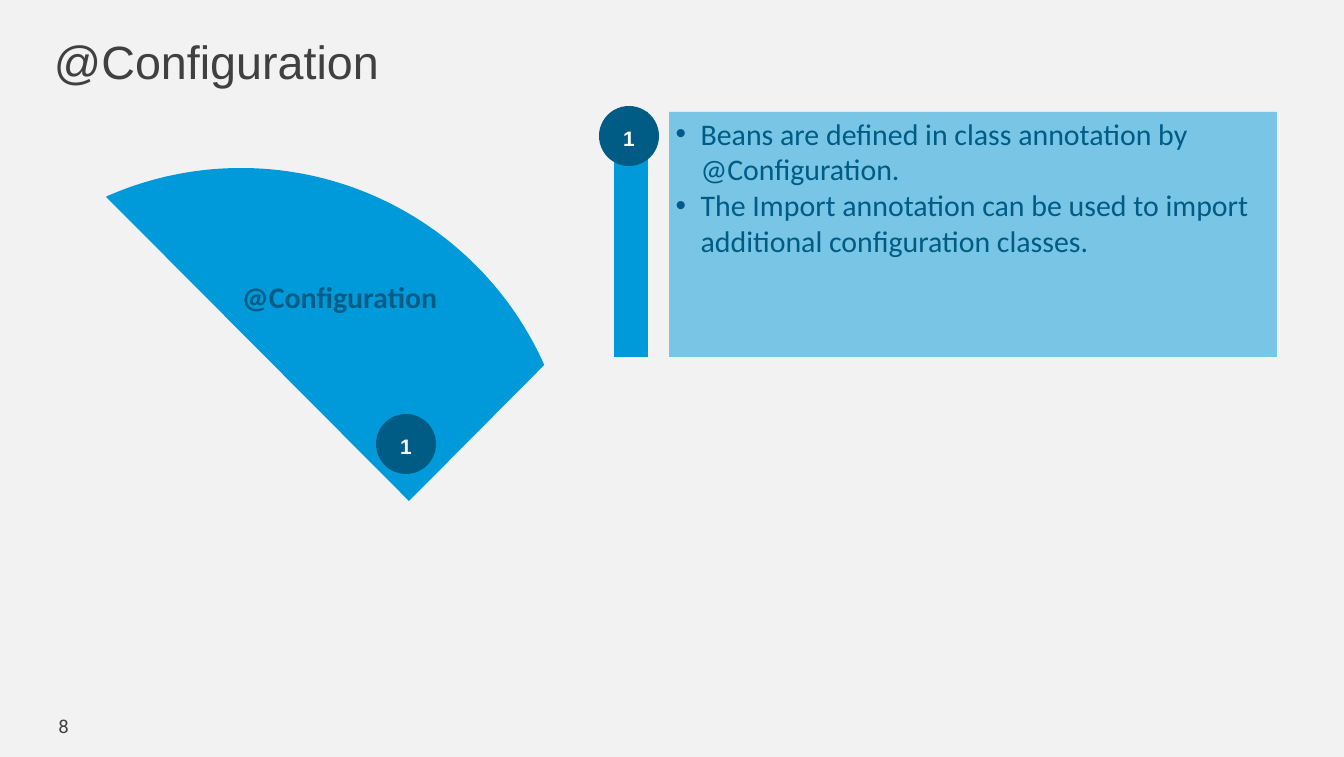
from math import cos, radians, sin

from lxml import etree
from pptx import Presentation
from pptx.dml.color import RGBColor
from pptx.enum.shapes import MSO_SHAPE as Shape
from pptx.enum.text import MSO_ANCHOR as Anchor, PP_ALIGN as Align
from pptx.oxml.ns import qn
from pptx.util import Pt

PX = 914400 / 67.2
COLORS = {
    "background": "F2F2F2",
    "text": "404041",
    "blue": "009ADA",
    "navy": "005C85",
    "white": "FFFFFF",
}


def px(value):
    return round(value * PX)


def color(name):
    return RGBColor.from_string(COLORS[name])


def paint(shape, fill, opacity=100):
    shape.shadow.inherit = False
    shape.line.fill.background()
    shape.fill.solid()
    shape.fill.fore_color.rgb = color(fill)
    if opacity < 100:
        solid = shape.fill._xPr.find(qn("a:solidFill"))
        etree.SubElement(solid[0], qn("a:alpha"), val=str(opacity * 1000))


def style(paragraph, font, size, ink, bold=False, align=Align.LEFT):
    paragraph.alignment = align
    paragraph.font.name = font
    paragraph.font.size = Pt(size)
    paragraph.font.bold = bold
    paragraph.font.color.rgb = color(ink)


def add_block(slide, kind, box, fill, opacity=100):
    shape = slide.shapes.add_shape(kind, *map(px, box))
    paint(shape, fill, opacity)
    return shape


def add_text(slide, box, text, margins, anchor, **look):
    frame = slide.shapes.add_textbox(*map(px, box)).text_frame
    frame.word_wrap = True
    frame.vertical_anchor = anchor
    frame.margin_left = frame.margin_right = px(margins[0])
    frame.margin_top = frame.margin_bottom = px(margins[1])
    paragraph = frame.paragraphs[0]
    paragraph.text = text
    style(paragraph, **look)


def add_badge(slide, left, top, text):
    frame = add_block(slide, Shape.OVAL, (left, top, 60, 60), "navy").text_frame
    frame.vertical_anchor = Anchor.MIDDLE
    paragraph = frame.paragraphs[0]
    run = paragraph.add_run()
    run.text = text
    run.font._element.set("cap", "small")
    style(paragraph, "Arial", 28, "white", bold=True, align=Align.CENTER)


def add_wedge(slide, center, radius, angles, tip):
    arc = [
        (px(center[0] + radius * cos(radians(angle))),
         px(center[1] + radius * sin(radians(angle))))
        for angle in range(angles[0], angles[1] + 1)
    ]
    builder = slide.shapes.build_freeform(*arc[0])
    builder.add_line_segments(arc[1:] + [(px(tip[0]), px(tip[1]))], close=True)
    paint(builder.convert_to_shape(), "blue")


def add_bullet_panel(slide, box, items):
    frame = add_block(slide, Shape.RECTANGLE, box, "blue", opacity=50).text_frame
    frame.word_wrap = True
    frame.vertical_anchor = Anchor.TOP
    for index, item in enumerate(items):
        paragraph = frame.add_paragraph() if index else frame.paragraphs[0]
        paragraph.text = item
        properties = paragraph._p.get_or_add_pPr()
        properties.set("marL", str(px(25)))
        properties.set("indent", str(-px(25)))
        etree.SubElement(properties, qn("a:buFont"), typeface="Arial")
        etree.SubElement(properties, qn("a:buChar"), char="•")
        style(paragraph, "Calibri", 32, "navy")


def main():
    presentation = Presentation()
    presentation.slide_width = px(1344)
    presentation.slide_height = px(757)
    slide = presentation.slides.add_slide(presentation.slide_layouts[6])
    slide.background.fill.solid()
    slide.background.fill.fore_color.rgb = color("background")

    add_text(slide, (54, 28, 1245, 65), "@Configuration", (0, 0), Anchor.MIDDLE,
             font="Arial", size=50, ink="text")
    add_text(slide, (28, 706, 53, 40), "8", (12, 6), Anchor.MIDDLE,
             font="Roboto", size=20, ink="text", align=Align.RIGHT)

    add_wedge(slide, (241, 500), 332, (-114, -24), (409, 501))
    add_badge(slide, 376, 414, "1")
    add_text(slide, (235, 276, 239, 43), "@Configuration", (7, 3), Anchor.TOP,
             font="Calibri", size=32, ink="navy", bold=True)

    add_block(slide, Shape.RECTANGLE, (614, 112, 34, 245), "blue")
    add_bullet_panel(slide, (669, 112, 608, 245), [
        "Beans are defined in class annotation by @Configuration.",
        "The Import annotation can be used to import additional configuration classes.",
    ])
    add_badge(slide, 599, 106, "1")
    presentation.save("out.pptx")


if __name__ == "__main__":
    main()
